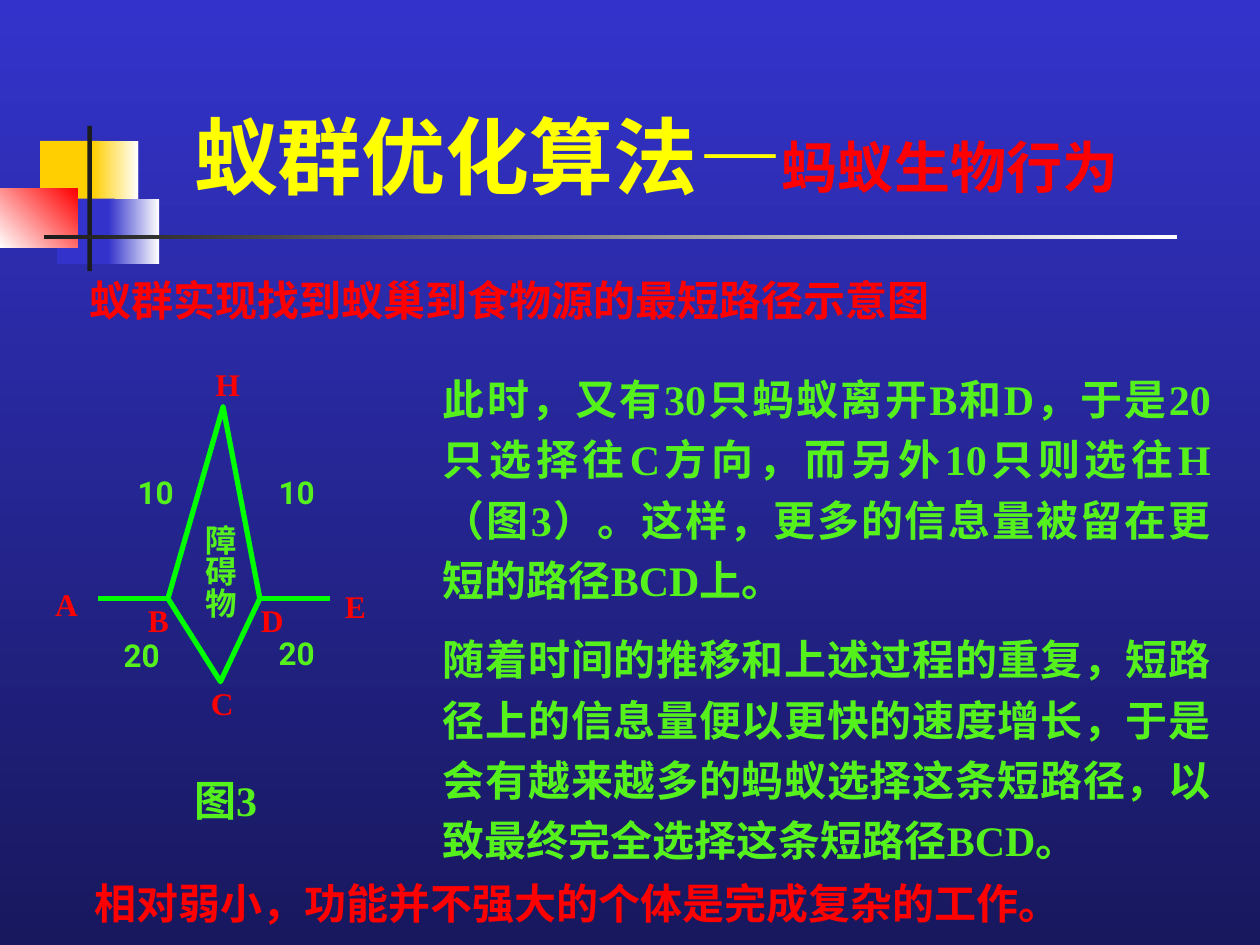
from dataclasses import dataclass

import pptx
import pptx.dml.color
import pptx.enum.shapes
import pptx.enum.text
import pptx.oxml
import pptx.oxml.ns
import pptx.util

Pt = pptx.util.Pt
ALIGN = pptx.enum.text.PP_ALIGN
ANCHOR = pptx.enum.text.MSO_ANCHOR
FIT = pptx.enum.text.MSO_AUTO_SIZE

COLORS = {
    "sky": "3333CC",
    "night": "18185E",
    "gold": "FFCF01",
    "white": "FFFFFF",
    "red": "FF0000",
    "ink": "1C1C1C",
    "yellow": "FFFF00",
    "green": "55F11D",
    "route": "00FF00",
}
SERIF = "Times New Roman"
HAN = "Noto Sans CJK SC"


@dataclass(frozen=True)
class Block:
    left: float
    top: float
    width: float
    height: float
    start: str
    end: str = ""
    angle: int = 0


@dataclass(frozen=True)
class Label:
    text: str
    left: float
    top: float


@dataclass(frozen=True)
class Run:
    text: str
    size: float
    font: str
    color: str


ORNAMENT = [
    Block(23, 80.5, 34.5, 37.5, "gold"),
    Block(53, 80.5, 26, 37.5, "gold", "white"),
    Block(32.5, 113.5, 33, 37.5, "sky"),
    Block(62, 113.5, 29, 37.5, "sky", "white"),
    Block(0, 108, 44.5, 33.5, "white", "red", 45),
    Block(50, 72, 2.5, 83, "ink"),
    Block(25, 134.25, 647.5, 2.25, "ink", "white"),
]
NODES = [
    Label("A", 24.5, 330.5),
    Label("B", 77.5, 340),
    Label("C", 113.5, 387.5),
    Label("D", 142, 340),
    Label("E", 190, 332),
    Label("H", 116, 205),
]
ANT_COUNTS = [
    Label("10", 51.5, 267),
    Label("10", 132, 267),
    Label("20", 132, 358.5),
    Label("20", 43.5, 360),
]
ROUTE = {
    "A": (56, 342),
    "B": (96, 342),
    "H": (127.5, 232.5),
    "D": (148.5, 342),
    "C": (126, 389.5),
    "E": (188.5, 342),
}
EXPLANATION = [
    "此时，又有30只蚂蚁离开B和D，于是20只选择往C方向，而另外10只则选往H（图3）。"
    "这样，更多的信息量被留在更短的路径BCD上。",
    "随着时间的推移和上述过程的重复，短路径上的信息量便以更快的速度增长，"
    "于是会有越来越多的蚂蚁选择这条短路径，以致最终完全选择这条短路径BCD。",
]


def rgb(name: str):
    return pptx.dml.color.RGBColor.from_string(COLORS[name])


def paint_gradient(fill, start: str, end: str, angle: int) -> None:
    fill.gradient()
    fill.gradient_angle = angle
    for stop, name, position in zip(fill.gradient_stops, (start, end), (0, 1)):
        stop.color.rgb = rgb(name)
        stop.position = position


def draw_block(slide, block: Block) -> None:
    rectangle = slide.shapes.add_shape(
        pptx.enum.shapes.MSO_SHAPE.RECTANGLE,
        Pt(block.left), Pt(block.top), Pt(block.width), Pt(block.height),
    )
    rectangle.shadow.inherit = False
    rectangle.line.fill.background()
    if block.end:
        paint_gradient(rectangle.fill, block.start, block.end, block.angle)
    else:
        rectangle.fill.solid()
        rectangle.fill.fore_color.rgb = rgb(block.start)


def add_run(paragraph, part: Run) -> None:
    run = paragraph.add_run()
    run.text = part.text
    run.font.size = Pt(part.size)
    run.font.bold = True
    run.font.name = part.font
    run.font.color.rgb = rgb(part.color)
    east_asian = pptx.oxml.parse_xml(
        f'<a:ea {pptx.oxml.ns.nsdecls("a")} typeface="{HAN}"/>'
    )
    run.font._element.find(pptx.oxml.ns.qn("a:latin")).addnext(east_asian)


def add_text(slide, paragraphs, left, top, width, height, *, size=24, font=SERIF,
             color="green", align=ALIGN.JUSTIFY, wrap=True, vertical=False,
             line_spacing=1.0, gap=0, fit=FIT.NONE) -> None:
    box = slide.shapes.add_textbox(Pt(left), Pt(top), Pt(width), Pt(height))
    frame = box.text_frame
    frame.word_wrap = wrap
    frame.auto_size = fit
    if vertical:
        frame._txBody.bodyPr.set("vert", "eaVert")
        frame.margin_left = frame.margin_right = Pt(3.6)
        frame.margin_top = frame.margin_bottom = Pt(7.2)
    for index, text in enumerate(paragraphs):
        paragraph = frame.add_paragraph() if index else frame.paragraphs[0]
        paragraph.alignment = align
        paragraph.line_spacing = line_spacing
        if index:
            paragraph.space_before = Pt(gap)
        add_run(paragraph, Run(text, size, font, color))


def format_route(line) -> None:
    line.color.rgb = rgb("route")
    line.width = Pt(3)


def draw_path(slide, start: str, end: str) -> None:
    points = [Pt(value) for node in (start, end) for value in ROUTE[node]]
    path = slide.shapes.add_connector(
        pptx.enum.shapes.MSO_CONNECTOR.STRAIGHT, *points
    )
    format_route(path.line)
    path._element.spPr.append(
        pptx.oxml.parse_xml(f'<a:effectLst {pptx.oxml.ns.nsdecls("a")}/>')
    )


def draw_obstacle(slide) -> None:
    corners = [tuple(Pt(value) for value in ROUTE[node]) for node in "BHDC"]
    builder = slide.shapes.build_freeform(*corners[0], scale=1.0)
    builder.add_line_segments(corners[1:], close=True)
    obstacle = builder.convert_to_shape()
    obstacle.shadow.inherit = False
    obstacle.fill.background()
    format_route(obstacle.line)


def set_title(slide) -> None:
    title = slide.shapes.title
    title.left, title.top = Pt(66), Pt(26.5)
    title.width, title.height = Pt(618), Pt(94.5)
    frame = title.text_frame
    frame.word_wrap = True
    frame.auto_size = FIT.NONE
    frame.vertical_anchor = ANCHOR.BOTTOM
    heading = frame.paragraphs[0]
    heading.alignment = ALIGN.CENTER
    for part in (
        Run("蚁群优化算法", 48, "Arial", "yellow"),
        Run("—", 48, SERIF, "yellow"),
        Run("蚂蚁生物行为", 32, "Arial", "red"),
    ):
        add_run(heading, part)


def main() -> None:
    deck = pptx.Presentation()
    deck.slide_width, deck.slide_height = Pt(720), Pt(540)
    slide = deck.slides.add_slide(deck.slide_layouts[5])
    paint_gradient(slide.background.fill, "sky", "night", 270)
    set_title(slide)
    for block in ORNAMENT:
        draw_block(slide, block)

    add_text(slide, ["蚁群实现找到蚁巢到食物源的最短路径示意图"], 44, 153.5, 494, 36,
             font=HAN, color="red", align=ALIGN.CENTER, wrap=False)
    add_text(slide, ["障碍物"], 107.5, 292.5, 33, 85.5, size=18, vertical=True)
    draw_path(slide, "A", "B")
    draw_obstacle(slide)
    draw_path(slide, "D", "E")
    for node in NODES:
        add_text(slide, [node.text], node.left, node.top, 35.5, 46,
                 size=18, color="red")
    for count in ANT_COUNTS:
        add_text(slide, [count.text], count.left, count.top, 75, 29,
                 size=18, font="Roboto", align=ALIGN.CENTER)
    add_text(slide, ["图3"], 40.5, 439, 177, 36, align=ALIGN.CENTER)
    add_text(slide, EXPLANATION, 246, 204, 453, 294.5, line_spacing=1.2, gap=10.5,
             fit=FIT.SHAPE_TO_FIT_TEXT)
    add_text(slide, ["相对弱小，功能并不强大的个体是完成复杂的工作。"], 47, 498, 566, 36,
             font=HAN, color="red", align=ALIGN.LEFT, wrap=False)
    deck.save("out.pptx")


if __name__ == "__main__":
    main()
